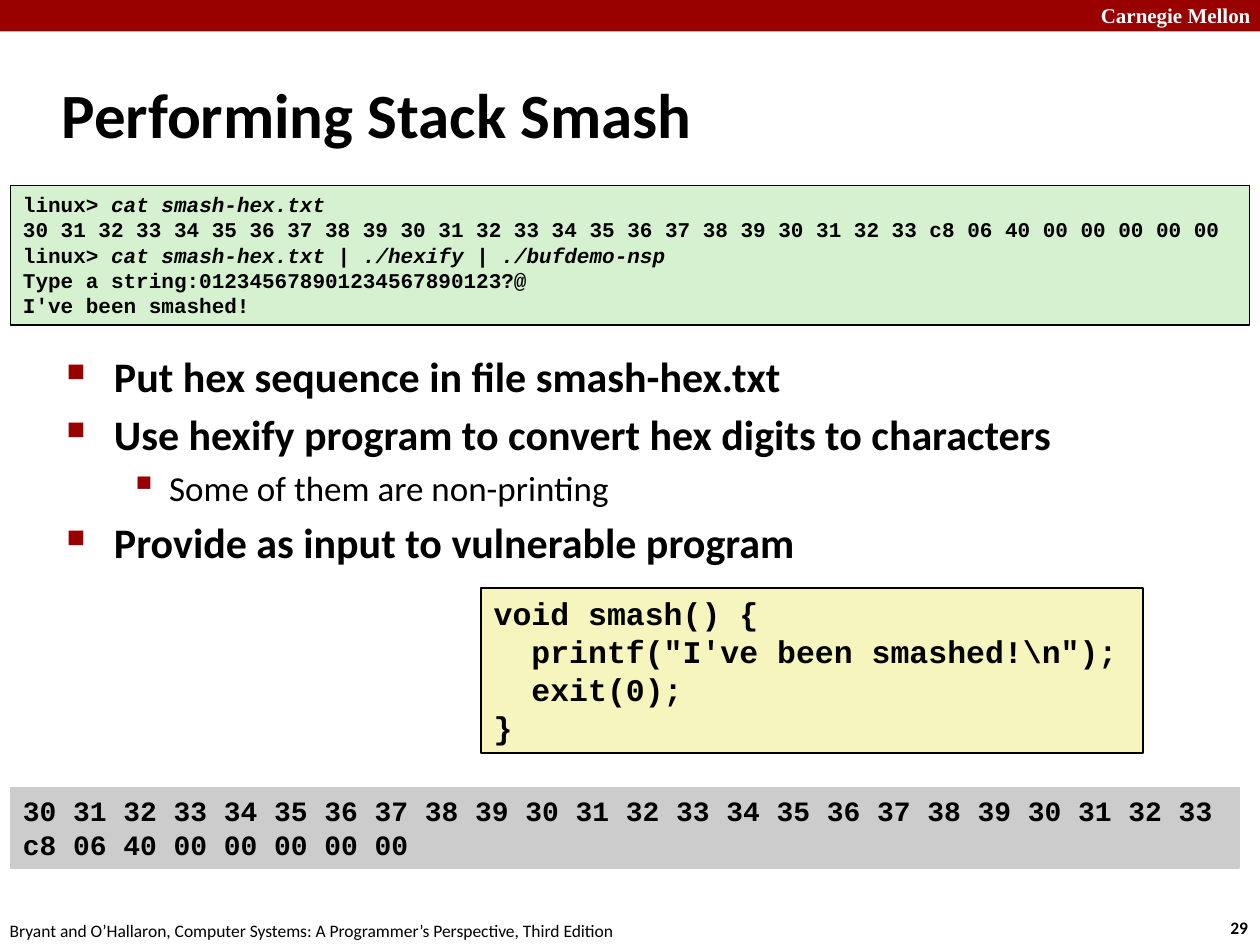
import pptx
import pptx.util
from lxml import etree
from pptx.dml.color import RGBColor
from pptx.enum.shapes import MSO_SHAPE
from pptx.enum.text import MSO_ANCHOR, PP_ALIGN
from pptx.oxml.ns import qn

Pt = pptx.util.Pt

# Content
TITLE = "Performing Stack Smash"
BYTES = ("30 31 32 33 34 35 36 37 38 39 30 31 32 33 34 35 36 37 38 39 "
         "30 31 32 33 c8 06 40 00 00 00 00 00")
PROMPT = "linux> "
# Each line is (prompt, text); what follows a prompt is italic
SESSION = [
    (PROMPT, "cat smash-hex.txt"),
    ("", BYTES),
    (PROMPT, "cat smash-hex.txt | ./hexify | ./bufdemo-nsp"),
    ("", "Type a string:012345678901234567890123?@"),
    ("", "I've been smashed!"),
]
FUNCTION = [
    ("", "void smash() {"),
    ("", "  printf(\"I've been smashed!\\n\");"),
    ("", "  exit(0);"),
    ("", "}"),
]
BULLETS = [
    (0, "Put hex sequence in file smash-hex.txt"),
    (0, "Use hexify program to convert hex digits to characters"),
    (1, "Some of them are non-printing"),
    (0, "Provide as input to vulnerable program"),
]
# Per level: size, bold, left margin, hanging indent, bullet, bullet percent
LEVELS = [
    (24, True, 27, 27, "■", 60),
    (20, False, 58.5, 22.5, "▪", 110),
]
# Code panels: left, top, width, height, fill, line, size, lines
PANELS = [
    (6, 450, 702, 46, "CCCCCC", "CCCCCC", 16, [("", BYTES)]),
    (6, 106, 708, 80, "D5F1CF", "000000", 12, SESSION),
    (275, 336, 378, 94.5, "F6F5BD", "000000", 18, FUNCTION),
]
# Labels: left, top, width, height, wrap, text, size, font, colour, bold
LABELS = [
    (622, -2, 103, 22, True, "Carnegie Mellon", 12, "Times New Roman", "FFFFFF", True),
    (696, 520.5, 27, 19.5, False, "29", 10, "Calibri", "000000", True),
    (-1.5, 522, 366, 19.5, False,
     "Bryant and O’Hallaron, Computer Systems: A Programmer’s Perspective, Third Edition",
     10, "Calibri", "000000", False),
]


def color(hex_text):
    return RGBColor.from_string(hex_text)


def style(font, size, name, hex_text="000000", bold=True):
    font.size, font.name, font.bold = Pt(size), name, bold
    font.color.rgb = color(hex_text)


def add_text_box(left, top, width, height, wrap=True):
    box = page.shapes.add_textbox(Pt(left), Pt(top), Pt(width), Pt(height))
    box.text_frame.word_wrap = wrap
    return box


def add_rectangle(left, top, width, height, fill):
    box = page.shapes.add_shape(
        MSO_SHAPE.RECTANGLE, Pt(left), Pt(top), Pt(width), Pt(height))
    box.shadow.inherit = False
    box.fill.solid()
    box.fill.fore_color.rgb = color(fill)
    return box


def indent(para, margin, hanging):
    properties = para._p.get_or_add_pPr()
    properties.set("marL", str(Pt(margin)))
    properties.set("indent", str(-Pt(hanging)))
    return properties


def add_bullet(para, margin, hanging, mark, percent):
    properties = indent(para, margin, hanging)
    tint = etree.SubElement(properties, qn("a:buClr"))
    etree.SubElement(tint, qn("a:srgbClr"), val="990000")
    etree.SubElement(properties, qn("a:buSzPct"), val=str(percent * 1000))
    etree.SubElement(properties, qn("a:buChar"), char=mark)


deck = pptx.Presentation()
deck.slide_width, deck.slide_height = Pt(720), Pt(540)
page = deck.slides.add_slide(deck.slide_layouts[5])

# Top band, university name, page number and footer
band = add_rectangle(0, 0, 720, 18, "990000")
band.line.fill.background()
for left, top, width, height, wrap, text, *look in LABELS:
    label = add_text_box(left, top, width, height, wrap)
    label.text_frame.text = text
    style(label.text_frame.paragraphs[0].runs[0].font, *look)

# Title
title = page.shapes.title
title.left, title.top, title.width, title.height = Pt(28), Pt(34.5), Pt(597.5), Pt(60)
title.text_frame.text = TITLE
title.text_frame.vertical_anchor = MSO_ANCHOR.MIDDLE
heading = title.text_frame.paragraphs[0]
heading.alignment = PP_ALIGN.LEFT
indent(heading, 9, 9)
style(heading.runs[0].font, 36, "Calibri")

# Bullets
body = add_text_box(31, 196.5, 622, 302.5).text_frame
body.text = "\n".join(text for level, text in BULLETS)
for index, (para, (level, text)) in enumerate(zip(body.paragraphs, BULLETS)):
    size, bold, *bullet = LEVELS[level]
    para.level = level
    para.space_before = Pt(0.2 * size if index else 0)
    add_bullet(para, *bullet)
    style(para.runs[0].font, size, "Calibri", bold=bold)

# Code panels
for left, top, width, height, fill, line, size, rows in PANELS:
    panel = add_rectangle(left, top, width, height, fill)
    panel.line.color.rgb = color(line)
    panel.line.width = Pt(1)
    frame = panel.text_frame
    frame.word_wrap = True
    frame.vertical_anchor = MSO_ANCHOR.TOP
    frame.text = "\n".join(text for prompt, text in rows)
    for para, (prompt, text) in zip(frame.paragraphs, rows):
        para.alignment = PP_ALIGN.LEFT
        if prompt:
            para.runs[0].text = prompt
            command = para.add_run()
            command.text = text
            command.font.italic = True
        for span in para.runs:
            style(span.font, size, "Courier New")

deck.save("out.pptx")
